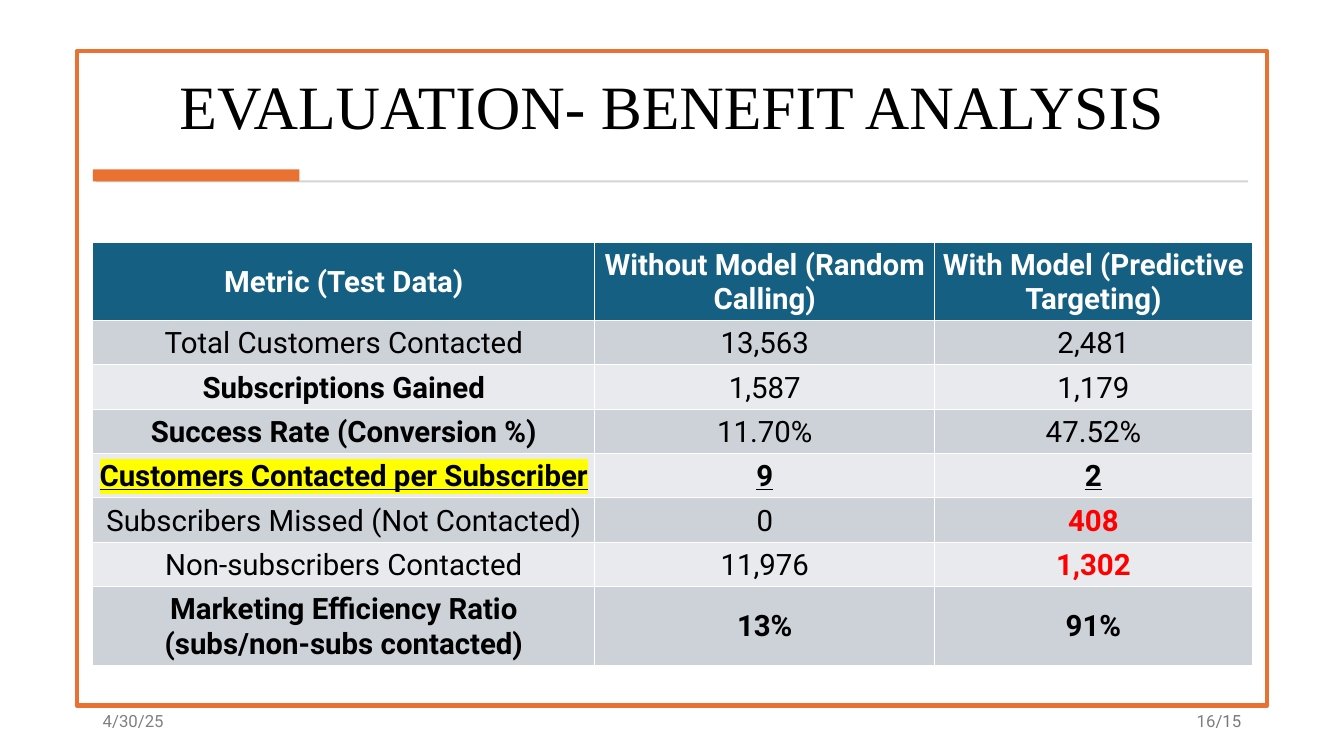
from pptx import Presentation
from pptx.dml.color import RGBColor
from pptx.enum.shapes import MSO_SHAPE
from pptx.enum.text import MSO_ANCHOR, PP_ALIGN
from pptx.oxml.ns import qn
from pptx.util import Inches, Pt
from lxml.etree import SubElement

BLACK = RGBColor(0x00, 0x00, 0x00)
WHITE = RGBColor(0xFF, 0xFF, 0xFF)
RED = RGBColor(0xFF, 0x00, 0x00)
YELLOW = RGBColor(0xFF, 0xFF, 0x00)
ORANGE = RGBColor(0xE9, 0x71, 0x32)
TEAL = RGBColor(0x15, 0x60, 0x82)
BAND = RGBColor(0xCC, 0xD2, 0xD8)
PALE = RGBColor(0xE8, 0xEA, 0xED)
RULE = RGBColor(0xD5, 0xD5, 0xD5)
GRAY = RGBColor(0x80, 0x80, 0x80)
DIM = RGBColor(0x79, 0x79, 0x79)

WIDTHS = [4.98, 3.37, 3.15]
HEIGHTS = [0.78] + [0.44] * 6 + [0.78]
ROWS = [
    ["Metric (Test Data)", "Without Model (Random Calling)", "With Model (Predictive Targeting)"],
    ["Total Customers Contacted", "13,563", "2,481"],
    ["Subscriptions Gained", "1,587", "1,179"],
    ["Success Rate (Conversion %)", "11.70%", "47.52%"],
    ["Customers Contacted per Subscriber", "9", "2"],
    ["Subscribers Missed (Not Contacted)", "0", "408"],
    ["Non-subscribers Contacted", "11,976", "1,302"],
    ["Marketing Efficiency Ratio (subs/non-subs contacted)", "13%", "91%"],
]
BOLD_ROWS = {0, 4, 7}
BOLD_CELLS = {(2, 0), (3, 0), (5, 2), (6, 2)}
RED_CELLS = {(5, 2), (6, 2)}
KEY_ROW = 4


class Deck:
    """Holds the slide and its style and draws each kind of element."""

    def __init__(self):
        self.file = Presentation()
        self.file.slide_width = Inches(13.33)
        self.file.slide_height = Inches(7.5)
        self.slide = self.file.slides.add_slide(self.file.slide_layouts[6])
        self.face = "Roboto"

    def style(self, para, size, color, align, bold=False, face=None):
        para.alignment = align
        font = para.font
        font.name = face or self.face
        font.size = Pt(size)
        font.bold = bold
        font.color.rgb = color
        return font

    def text(self, box, parts, size, align, anchor=MSO_ANCHOR.MIDDLE, face=None):
        frame = self.slide.shapes.add_textbox(*map(Inches, box)).text_frame
        frame.word_wrap = True
        frame.vertical_anchor = anchor
        para = frame.paragraphs[0]
        self.style(para, size, parts[0][1], align, face=face)
        for words, color in parts:
            run = para.add_run()
            run.text = words
            run.font.color.rgb = color
        return para

    def rect(self, box, fill=None, line=None):
        shape = self.slide.shapes.add_shape(MSO_SHAPE.RECTANGLE, *map(Inches, box))
        shape.shadow.inherit = False
        if fill is None:
            shape.fill.background()
        else:
            shape.fill.solid()
            shape.fill.fore_color.rgb = fill
        if line is None:
            shape.line.fill.background()
        else:
            shape.line.color.rgb = line
            shape.line.width = Pt(3)

    def table(self, box, rows, widths, heights):
        size = len(rows), len(widths)
        grid = self.slide.shapes.add_table(*size, *map(Inches, box)).table
        for column, width in zip(grid.columns, widths):
            column.width = Inches(width)
        for row, height in zip(grid.rows, heights):
            row.height = Inches(height)
        for r, row in enumerate(rows):
            for c, words in enumerate(row):
                self.cell(grid.cell(r, c), words, r, c)

    def cell(self, cell, words, r, c):
        cell.margin_left = cell.margin_right = cell.margin_top = Inches(0.02)
        cell.margin_bottom = 0
        cell.vertical_anchor = MSO_ANCHOR.MIDDLE
        cell.fill.solid()
        cell.fill.fore_color.rgb = TEAL if r == 0 else BAND if r % 2 else PALE
        color = WHITE if r == 0 else RED if (r, c) in RED_CELLS else BLACK
        bold = r in BOLD_ROWS or (r, c) in BOLD_CELLS
        para = cell.text_frame.paragraphs[0]
        run = para.add_run()
        run.text = words
        font = self.style(para, 21, color, PP_ALIGN.CENTER, bold)
        font.underline = r == KEY_ROW
        if (r, c) == (KEY_ROW, 0):
            self.mark(run, YELLOW)

    def mark(self, run, color):
        props = run._r.get_or_add_rPr()
        light = SubElement(props, qn("a:highlight"))
        SubElement(light, qn("a:srgbClr"), val=str(color))


def main():
    deck = Deck()
    title = deck.text((0.92, 0.36, 11.49, 1.11), [("EVALUATION- BENEFIT ANALYSIS", BLACK)],
                      44, PP_ALIGN.CENTER, MSO_ANCHOR.BOTTOM, "Times New Roman")
    title.line_spacing = 0.9
    deck.rect((0.95, 1.79, 11.43, 0.02), RULE)
    deck.rect((0.92, 1.68, 2.05, 0.12), ORANGE)
    date = deck.text((0.92, 6.95, 2.82, 0.4), [("4/30/25", GRAY)], 12, PP_ALIGN.LEFT)
    page = deck.text((9.7, 6.95, 2.71, 0.4), [("16", GRAY), ("/15", DIM)], 12, PP_ALIGN.RIGHT)
    for para in (date, page):
        para.space_after = Pt(6)
    deck.table((0.92, 2.4, 11.5, 4.19), ROWS, WIDTHS, HEIGHTS)
    deck.rect((0.76, 0.51, 11.81, 6.49), line=ORANGE)
    deck.file.save("out.pptx")


if __name__ == "__main__":
    main()
